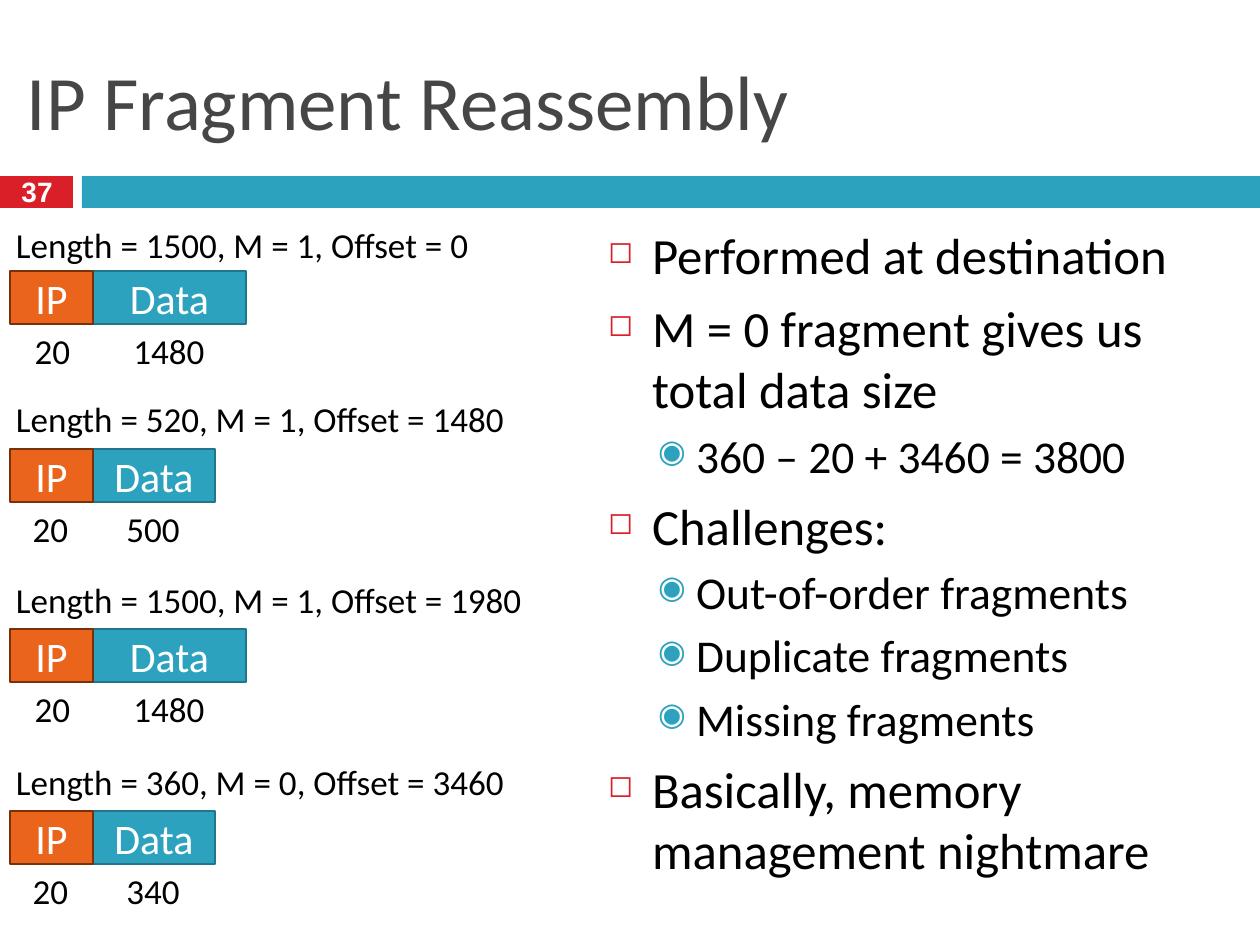
from lxml import etree
from pptx import Presentation, util as u
from pptx.dml.color import RGBColor
from pptx.enum import shapes, text
from pptx.oxml.ns import qn

PX = 914400 / 126
COLORS = {
    "title": "464646", "ink": "000000", "white": "FFFFFF",
    "red": "DA1F28", "teal": "2DA2BF", "teal_edge": "21768B",
    "orange": "EB641B", "orange_edge": "78310B",
}


def write(box, words, size, color, align, anchor=text.MSO_ANCHOR.TOP, wrap=False, font="Calibri"):
    frame = box.text_frame
    frame.text = words
    frame.word_wrap = wrap
    frame.vertical_anchor = anchor
    frame.margin_left = frame.margin_right = frame.margin_top = frame.margin_bottom = u.Emu(round(6 * PX))
    for paragraph in frame.paragraphs:
        paragraph.alignment = align
        paragraph.font.size = u.Pt(size)
        paragraph.font.name = font
        paragraph.font.color.rgb = RGBColor.from_string(COLORS[color])


def add_block(parent, bounds, fill, edge=None):
    block = parent.add_shape(shapes.MSO_SHAPE.RECTANGLE, *[u.Emu(round(v * PX)) for v in bounds])
    block.shadow.inherit = False
    block.fill.solid()
    block.fill.fore_color.rgb = RGBColor.from_string(COLORS[fill])
    if edge:
        block.line.color.rgb = RGBColor.from_string(COLORS[edge])
        block.line.width = u.Pt(1.5)
    else:
        block.line.fill.background()
    return block


LEFT, CENTER = text.PP_ALIGN.LEFT, text.PP_ALIGN.CENTER
MIDDLE = text.MSO_ANCHOR.MIDDLE

deck = Presentation()
deck.slide_width, deck.slide_height = u.Inches(10), u.Inches(7.5)
slide = deck.slides.add_slide(deck.slide_layouts[5])

add_block(slide.shapes, (0, 176, 73, 32), "red")
add_block(slide.shapes, (82, 176, 1178, 32), "teal")

title = slide.shapes.title
title.left, title.top, title.width, title.height = [u.Emu(round(v * PX)) for v in (21, 32, 1218, 136)]
write(title, "IP Fragment Reassembly", 44, "title", LEFT, MIDDLE, True)

page_number = slide.shapes.add_textbox(*[u.Emu(round(v * PX)) for v in (15, 172, 44, 44)])
write(page_number, "37", 16, "white", CENTER, MIDDLE, font="Arial")
page_number.text_frame.paragraphs[0].font.bold = True
page_number.text_frame.paragraphs[0].line_spacing = 0.8

points = [
    (0, "Performed at destination"),
    (0, "M = 0 fragment gives us total data size"),
    (1, "360 – 20 + 3460 = 3800"),
    (0, "Challenges:"),
    (1, "Out-of-order fragments"),
    (1, "Duplicate fragments"),
    (1, "Missing fragments"),
    (0, "Basically, memory management nightmare"),
]
level_styles = [
    (44, 44, 7, "◻", "red", 60, 29),
    (88, 38, 5, "◉", "teal", 70, 26),
]
notes = slide.shapes.add_textbox(*[u.Emu(round(v * PX)) for v in (602, 218, 638, 706)])
write(notes, "\n".join(words for level, words in points), 29, "ink", LEFT, wrap=True)
for index, (level, words) in enumerate(points):
    margin, hang, gap, mark, mark_color, mark_size, size = level_styles[level]
    point = notes.text_frame.paragraphs[index]
    point.level = level
    point.font.size = u.Pt(size)
    point.space_before = u.Pt(gap if index else 0)
    properties = point._p.get_or_add_pPr()
    properties.set("marL", str(round(margin * PX)))
    properties.set("indent", str(round(-hang * PX)))
    bullet_color = etree.Element(qn("a:buClr"))
    etree.SubElement(bullet_color, qn("a:srgbClr")).set("val", COLORS[mark_color])
    bullet_size = etree.Element(qn("a:buSzPct"))
    bullet_size.set("val", str(mark_size * 1000))
    bullet_mark = etree.Element(qn("a:buChar"))
    bullet_mark.set("char", mark)
    place = list(properties).index(properties.find(qn("a:spcBef"))) + 1
    properties[place:place] = [bullet_color, bullet_size, bullet_mark]

HEADER_BYTES = 20
fragments = [
    (218, 271, 1500, 1, 0),
    (392, 449, 520, 1, 1480),
    (573, 629, 1500, 1, 1980),
    (755, 811, 360, 0, 3460),
]
for caption_top, packet_top, length, more, offset in fragments:
    caption = slide.shapes.add_textbox(*[u.Emu(round(v * PX)) for v in (10, caption_top, 557, 52)])
    write(caption, f"Length = {length}, M = {more}, Offset = {offset}", 20, "ink", LEFT)

    full = length == 1500
    data_width = 153 if full else 122
    packet = slide.shapes.add_group_shape().shapes
    data = add_block(packet, (93, packet_top, data_width, 53), "teal", "teal_edge")
    write(data, "Data", 24, "white", CENTER, MIDDLE, True)
    header = add_block(packet, (10, packet_top, 83, 53), "orange", "orange_edge")
    write(header, "IP", 24, "white", CENTER, MIDDLE, True)

    byte_counts = [
        (26 if full else 24, 53, HEADER_BYTES),
        (123 if full else 117, 92 if full else 72, length - HEADER_BYTES),
    ]
    for left, width, count in byte_counts:
        byte_count = packet.add_textbox(*[u.Emu(round(v * PX)) for v in (left, packet_top + 53, width, 52)])
        write(byte_count, str(count), 20, "ink", CENTER)

deck.save("out.pptx")
